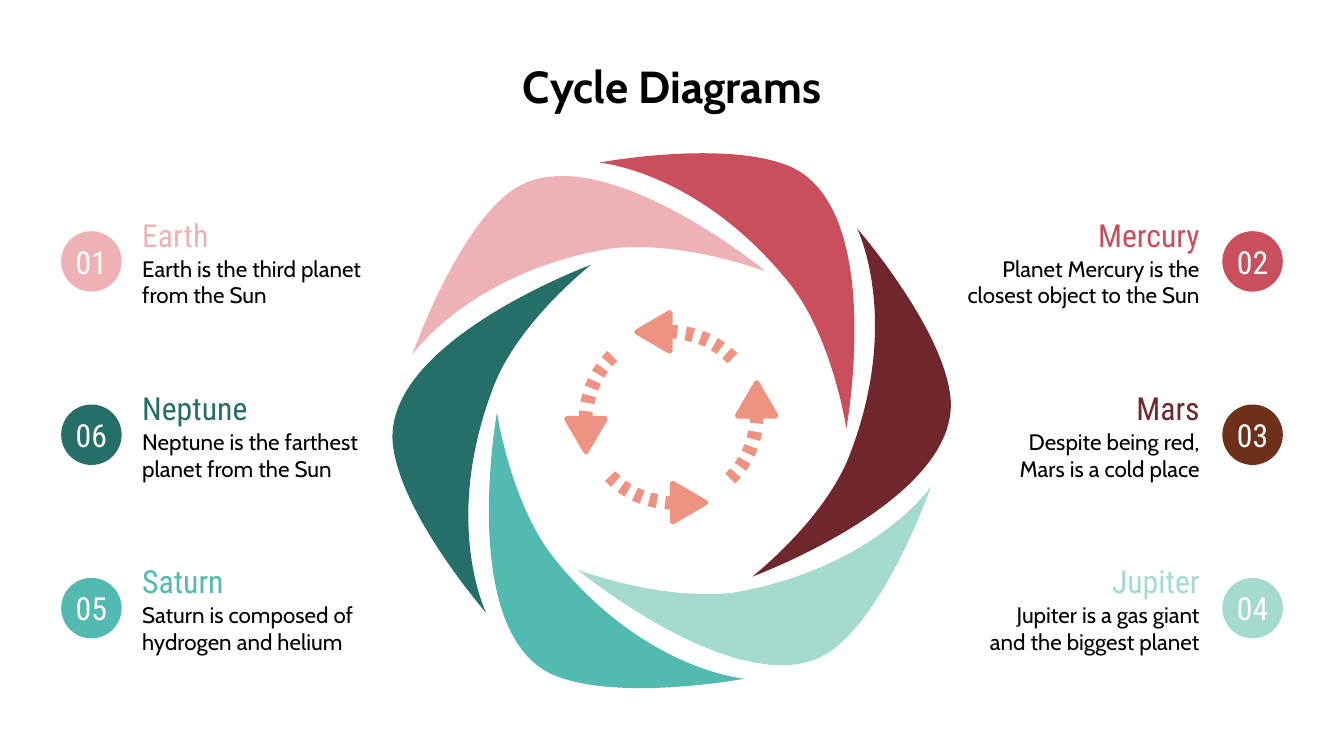
from collections import namedtuple
from dataclasses import dataclass
from math import cos, radians, sin

from pptx import Presentation
from pptx.dml.color import RGBColor
from pptx.enum.shapes import MSO_SHAPE
from pptx.enum.text import MSO_ANCHOR, PP_ALIGN
from pptx.oxml.ns import qn
from pptx.util import Inches, Pt

LEFT, CENTER, RIGHT = PP_ALIGN.LEFT, PP_ALIGN.CENTER, PP_ALIGN.RIGHT
TOP, MIDDLE = MSO_ANCHOR.TOP, MSO_ANCHOR.MIDDLE
ELLIPSE = MSO_SHAPE.OVAL

# All lengths are in units of one hundredth of the slide width.
UNIT = Inches(0.1)
Box = namedtuple("Box", "left top width height")


@dataclass(frozen=True)
class Theme:
    body_font: str = "Cabin"
    label_font: str = "Roboto Condensed"
    title_size: int = 24
    label_size: int = 17
    body_size: int = 12
    ink: str = "000000"
    paper: str = "FFFFFF"
    pink: str = "EEB1B6"
    red: str = "C84F5B"
    wine: str = "6F262D"
    brown: str = "6F301A"
    mint: str = "A5DACF"
    aqua: str = "52BAB0"
    pine: str = "256F68"
    coral: str = "EE9281"


THEME = Theme()

# Number, name, description, name colour, badge colour; one row per line.
LEFT_PLANETS = [
    ("01", "Earth", "Earth is the third planet from the Sun", THEME.pink, THEME.pink),
    ("06", "Neptune", "Neptune is the farthest planet from the Sun", THEME.pine, THEME.pine),
    ("05", "Saturn", "Saturn is composed of hydrogen and helium", THEME.aqua, THEME.aqua),
]
RIGHT_PLANETS = [
    ("02", "Mercury", "Planet Mercury is the closest object to the Sun", THEME.red, THEME.red),
    ("03", "Mars", "Despite being red,\vMars is a cold place", THEME.wine, THEME.brown),
    ("04", "Jupiter", "Jupiter is a gas giant\vand the biggest planet", THEME.mint, THEME.mint),
]
ROW_PITCH = 12.9

# Outlines around the centre: a pair is a straight step, six numbers a cubic curve.
EARTH_BLADE = [
    (-8.2, -18.2), (-9.7, -18.2, -11.1, -17.8, -12.3, -16.8),
    (-16.3, -13.5, -19.3, -4.9, -19.3, -4.9), (-19.3, -4.9, -15.1, -11, -4.6, -12.8),
    (-3.9, -12.9, -3.1, -12.9, -2.4, -12.9), (2.2, -12.9, 7, -11.1, 7, -11.1),
    (7, -11.1, -1.6, -18.2, -8.2, -18.2),
]
MERCURY_BLADE = [
    (2.3, -19.9), (-1.7, -19.9, -5.4, -19.2, -5.4, -19.2),
    (-5.4, -19.2, 2, -18.6, 8.7, -10.3), (12, -6.2, 13, 0.6, 13, 0.6),
    (13, 0.6, 16, -16.1, 8.6, -19), (6.8, -19.7, 4.5, -19.9, 2.3, -19.9),
]
MARS_BLADE = [
    (13.8, -14.3), (13.8, -14.3, 17.1, -7.6, 13.3, 2.4),
    (11.5, 7.3, 6, 11.6, 6, 11.6), (6, 11.6, 22, 5.7, 20.7, -2.1),
    (19.9, -7.3, 13.8, -14.3, 13.8, -14.3),
]
# Each blade has a partner half a turn away.
BLADE_PAIRS = [
    (EARTH_BLADE, THEME.pink, THEME.mint),
    (MERCURY_BLADE, THEME.red, THEME.aqua),
    (MARS_BLADE, THEME.wine, THEME.pine),
]
ARROW_HEAD = [
    (-0.1, -7.95), (-0.2, -7.95), (-2.6, -6.55),
    (-2.8, -6.45, -2.8, -6.25, -2.6, -6.15), (-0.2, -4.75), (-0.1, -4.75),
    (0, -4.75, 0.1, -4.85, 0.1, -4.95), (0.1, -5.85), (0.4, -5.85),
    (0.5, -6.85), (0.1, -6.85), (0.1, -7.75), (0.1, -7.85, 0, -7.95, -0.1, -7.95),
]
DASH_COUNT, DASH_START, DASH_PITCH, DASH_SPAN = 4, 9.7, 10.4, 5.2
RING_INNER, RING_OUTER = 5.8, 6.85


def color(code):
    return RGBColor.from_string(code)


def emu(box):
    return [round(length * UNIT) for length in box]


def write(shape, text, font, size, ink, align, anchor=MIDDLE, bold=False):
    frame = shape.text_frame
    frame.word_wrap = True
    frame.vertical_anchor = anchor
    frame.margin_left = frame.margin_right = UNIT
    frame.margin_top = frame.margin_bottom = UNIT
    para = frame.paragraphs[0]
    para.text = text
    para.alignment = align
    for span in para.runs:
        span.font.name = font
        span.font.size = Pt(size)
        span.font.bold = bold
        span.font.color.rgb = color(ink)


def paint(shape, fill):
    shape.shadow.inherit = False
    shape.fill.solid()
    shape.fill.fore_color.rgb = color(fill)
    shape.line.fill.background()


def bend(shape, outline):
    """Join the three straight steps of each cubic part into one curve."""
    steps = iter(shape.element.xpath(".//a:lnTo"))
    for part in outline[1:]:
        first = next(steps)
        if len(part) == 6:
            first.tag = qn("a:cubicBezTo")
            for _ in range(2):
                step = next(steps)
                first.append(step[0])
                step.getparent().remove(step)


def add_outline(page, center, outline, fill, turn=0):
    """Draw an outline around the centre, turned clockwise by degrees."""
    c, s = cos(radians(turn)), sin(radians(turn))
    points = [((center[0] + x * c - y * s) * UNIT, (center[1] + x * s + y * c) * UNIT)
              for part in outline for x, y in zip(part[::2], part[1::2])]
    builder = page.shapes.build_freeform(*points[0])
    builder.add_line_segments(points[1:], close=True)
    shape = builder.convert_to_shape()
    bend(shape, outline)
    paint(shape, fill)


def add_title(page, box, text):
    write(page.shapes.add_textbox(*emu(box)), text, THEME.body_font, THEME.title_size,
          THEME.ink, CENTER, TOP, bold=True)


def add_planet(page, box, planet, align):
    """Place a badge on the outer edge and the texts on the inner edge."""
    number, name, description, name_color, badge_color = planet
    text_width, badge_size = 21.4, 4.5
    text_left, badge_left = box.left, box.left + box.width - badge_size
    if align == LEFT:
        text_left, badge_left = box.left + box.width - text_width, box.left

    name_box = Box(text_left, box.top, text_width, 4.7)
    write(page.shapes.add_textbox(*emu(name_box)), name, THEME.label_font,
          THEME.label_size, name_color, align)
    body_box = Box(text_left, box.top + box.height - 5.8, text_width, 5.8)
    write(page.shapes.add_textbox(*emu(body_box)), description, THEME.body_font,
          THEME.body_size, THEME.ink, align)

    badge_box = Box(badge_left, box.top + 2.1, badge_size, badge_size)
    badge = page.shapes.add_shape(ELLIPSE, *emu(badge_box))
    paint(badge, badge_color)
    write(badge, number, THEME.label_font, THEME.label_size, THEME.paper, CENTER)
    badge.text_frame.margin_left = badge.text_frame.margin_right = 0


def add_planet_column(page, box, planets, align):
    for row, planet in enumerate(planets):
        cell = Box(box.left, box.top + row * ROW_PITCH, box.width,
                   box.height - (len(planets) - 1) * ROW_PITCH)
        add_planet(page, cell, planet, align)


def add_blades(page, center):
    for outline, fill, partner_fill in BLADE_PAIRS:
        add_outline(page, center, outline, fill)
        add_outline(page, center, outline, partner_fill, turn=180)


def add_arrow_ring(page, center):
    dash = [(radius * sin(radians(angle)), -radius * cos(radians(angle)))
            for radius, angle in ((RING_OUTER, 0), (RING_INNER, 0),
                                  (RING_INNER, DASH_SPAN), (RING_OUTER, DASH_SPAN))]
    for turn in range(0, 360, 90):
        add_outline(page, center, ARROW_HEAD, THEME.coral, turn)
        for index in range(DASH_COUNT):
            add_outline(page, center, dash, THEME.coral,
                        turn + DASH_START + index * DASH_PITCH)


def main():
    deck = Presentation()
    deck.slide_width, deck.slide_height = 100 * UNIT, round(56.25 * UNIT)
    page = deck.slides.add_slide(deck.slide_layouts[6])
    add_title(page, Box(1.95, 3.4, 96.1, 6.3), "Cycle Diagrams")
    add_planet_column(page, Box(4.55, 15.1, 26.45, 34.55), LEFT_PLANETS, LEFT)
    add_planet_column(page, Box(68.85, 15.1, 26.6, 34.55), RIGHT_PLANETS, RIGHT)
    add_blades(page, (49.98, 31.3))
    add_arrow_ring(page, (49.95, 31.05))
    deck.save("out.pptx")


if __name__ == "__main__":
    main()
